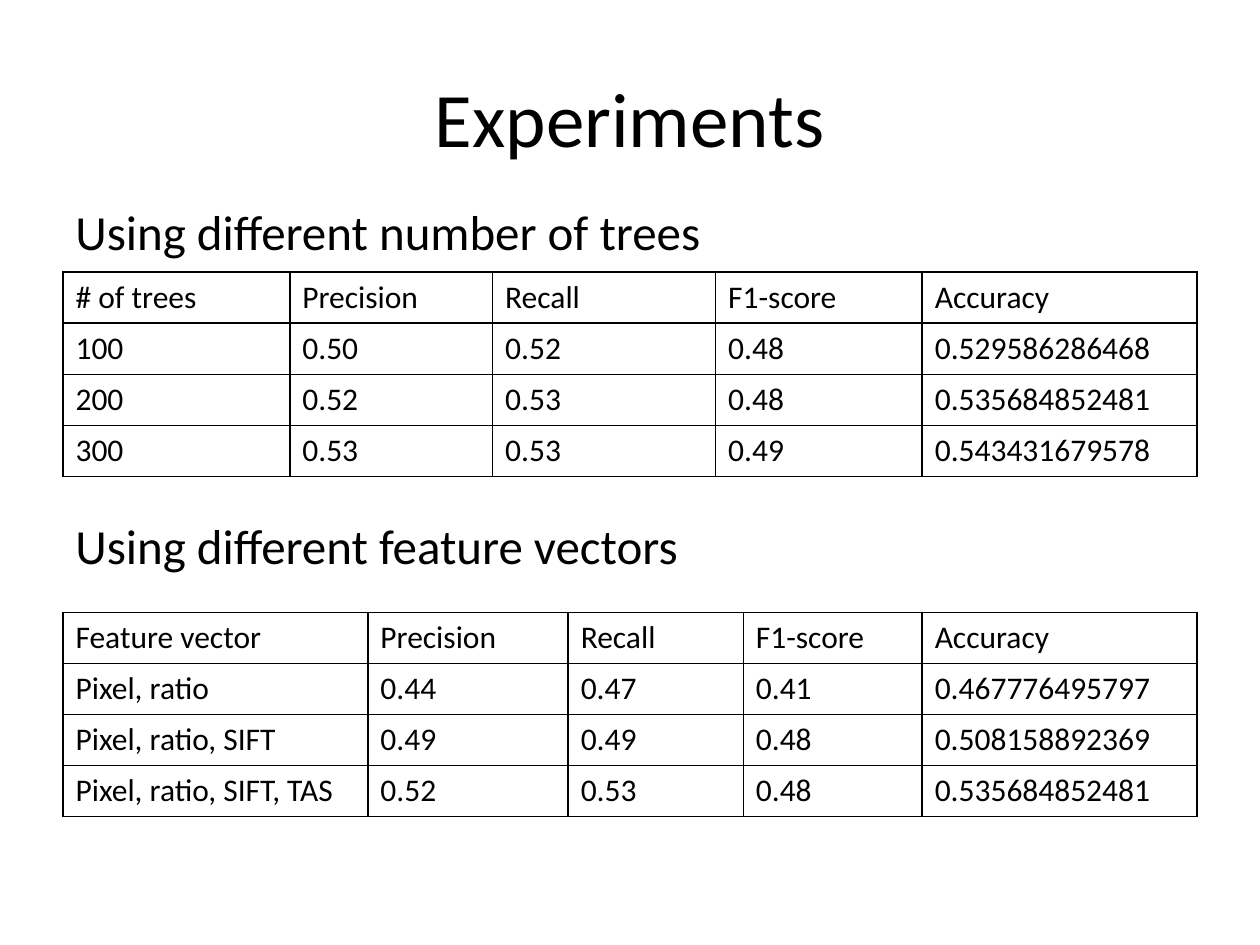
from lxml import etree
from pptx import Presentation
from pptx.dml.color import RGBColor
from pptx.enum.text import MSO_ANCHOR, PP_ALIGN
from pptx.oxml import parse_xml
from pptx.oxml.ns import nsdecls
from pptx.util import Inches, Pt

MIDDLE = MSO_ANCHOR.MIDDLE
CENTER, LEFT = PP_ALIGN.CENTER, PP_ALIGN.LEFT
INK = "000000"
MARGIN, CONTENT_WIDTH, ROW_HEIGHT = 0.5, 9, 0.405


def write(frame, text, size, align=LEFT):
    frame.text = text
    paragraph = frame.paragraphs[0]
    paragraph.alignment = align
    for attribute, value in {"name": "Calibri", "size": Pt(size)}.items():
        setattr(paragraph.font, attribute, value)
    paragraph.font.color.rgb = RGBColor.from_string(INK)


def outline(cell):
    properties = cell._tc.get_or_add_tcPr()
    for position, side in enumerate("LRTB"):
        border = parse_xml(f'<a:ln{side} {nsdecls("a")} w="{Pt(1)}"/>')
        fill = etree.SubElement(border, "{%s}solidFill" % border.nsmap["a"])
        etree.SubElement(fill, "{%s}srgbClr" % border.nsmap["a"], val=INK)
        properties.insert(position, border)


deck = Presentation()
deck.slide_width, deck.slide_height = Inches(10), Inches(7.5)
slide = deck.slides.add_slide(deck.slide_layouts[5])

title = slide.shapes.title
for attribute, value in {"left": MARGIN, "top": 0.3, "width": CONTENT_WIDTH, "height": 1.25}.items():
    setattr(title, attribute, Inches(value))
title.text_frame.vertical_anchor = MIDDLE
write(title.text_frame, "Experiments", 44, CENTER)

METRICS = ["Precision", "Recall", "F1-score", "Accuracy"]
experiments = [
    {
        "heading": "Using different number of trees",
        "heading_top": 1.55,
        "results_top": 2.16,
        "columns": [1.8, 1.61, 1.77, 1.64, 2.18],
        "rows": [
            ["# of trees", *METRICS],
            ["100", "0.50", "0.52", "0.48", "0.529586286468"],
            ["200", "0.52", "0.53", "0.48", "0.535684852481"],
            ["300", "0.53", "0.53", "0.49", "0.543431679578"],
        ],
    },
    {
        "heading": "Using different feature vectors",
        "heading_top": 4.04,
        "results_top": 4.86,
        "columns": [2.42, 1.59, 1.39, 1.42, 2.18],
        "rows": [
            ["Feature vector", *METRICS],
            ["Pixel, ratio", "0.44", "0.47", "0.41", "0.467776495797"],
            ["Pixel, ratio, SIFT", "0.49", "0.49", "0.48", "0.508158892369"],
            ["Pixel, ratio, SIFT, TAS", "0.52", "0.53", "0.48", "0.535684852481"],
        ],
    },
]

for experiment in experiments:
    rows, columns = experiment["rows"], experiment["columns"]
    results = slide.shapes.add_table(
        len(rows), len(columns), Inches(MARGIN), Inches(experiment["results_top"]),
        Inches(CONTENT_WIDTH), Inches(ROW_HEIGHT * len(rows))).table
    results.first_row = results.horz_banding = False
    for column, width in zip(results.columns, columns):
        column.width = Inches(width)
    for row, values in zip(results.rows, rows):
        for cell, value in zip(row.cells, values):
            write(cell.text_frame, value, 18)
            cell.fill.background()
            outline(cell)

    heading = slide.shapes.add_textbox(
        Inches(MARGIN), Inches(experiment["heading_top"]), Inches(5.21), Inches(0.57))
    heading.text_frame.word_wrap = True
    write(heading.text_frame, experiment["heading"], 28)

deck.save("out.pptx")
